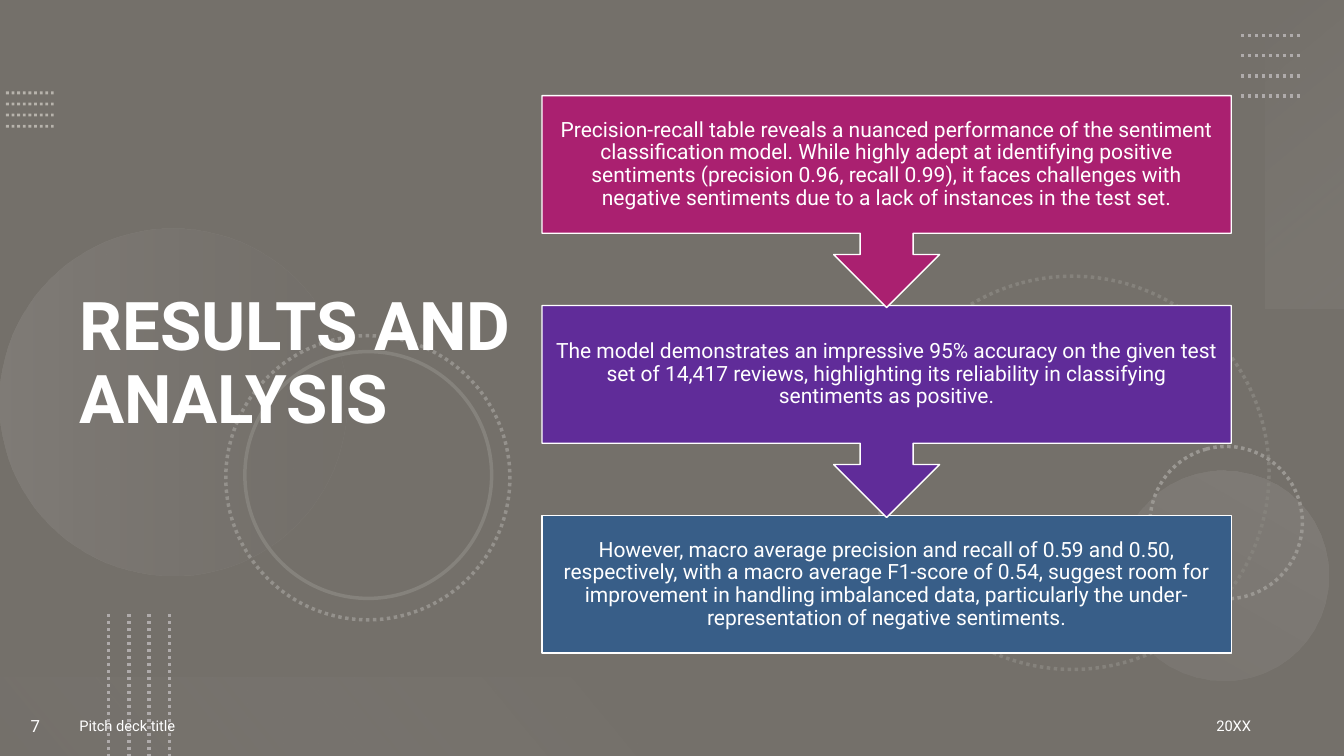
from lxml import etree
from pptx import Presentation
from pptx.dml.color import RGBColor
from pptx.enum import dml, shapes, text
from pptx.oxml.ns import qn
from pptx.util import Cm, Pt

KIND = shapes.MSO_SHAPE
ALIGN = text.PP_ALIGN


def tint(color, code, alpha=100):
    """Set a colour from a hex string, with opacity in percent."""
    color.rgb = RGBColor.from_string(code)
    if alpha < 100:
        node = color._xFill if hasattr(color, "_xFill") else color._color._xClr
        clr = node if node.tag == qn("a:srgbClr") else node.find(qn("a:srgbClr"))
        etree.SubElement(clr, qn("a:alpha")).set("val", str(alpha * 1000))


def write(box, words, size=15, bold=False, align=ALIGN.LEFT, gap=1.0):
    frame = box.text_frame
    frame.word_wrap = True
    frame.auto_size = text.MSO_AUTO_SIZE.NONE
    frame.vertical_anchor = text.MSO_ANCHOR.MIDDLE
    para = frame.paragraphs[0]
    para.alignment = align
    para.line_spacing = gap
    run = para.add_run()
    run.text = words
    run.font.name = "Roboto"
    run.font.size = Pt(size)
    run.font.bold = bold
    tint(run.font.color, "FFFFFF")


deck = Presentation()
deck.slide_width, deck.slide_height = Cm(33.87), Cm(19.05)
slide = deck.slides.add_slide(deck.slide_layouts[5])
tint_back = slide.background.fill
tint_back.solid()
tint(tint_back.fore_color, "F8F0E3")
items = slide.shapes

# Dark veil over the cream background
veil = items.add_shape(KIND.RECTANGLE, 0, 0, deck.slide_width, deck.slide_height)
veil.shadow.inherit = False
veil.fill.solid()
tint(veil.fill.fore_color, "000000", 53)
veil.line.fill.background()

# Soft gradient discs and bands: kind, left, top, width, height, turn, angle, stops
soft = [
    (KIND.OVAL, 0, 5.77, 8.74, 8.74, 270, 90, [("AFABAB", 20), ("767171", 10)]),
    (KIND.OVAL, 28.19, 11.86, 5.28, 5.28, 210, 90, [("AFABAB", 10), ("AFABAB", 20)]),
    (KIND.RECTANGLE, 29.01, 2.9, 7.77, 1.98, 270, 140, [("F5F5F5", 0), ("AFABAB", 10)]),
    (KIND.RECTANGLE, 0, 17.07, 16.94, 1.98, 180, 140, [("767171", 10), ("F1F0F0", 0)]),
]
for kind, left, top, wide, high, turn, angle, stops in soft:
    form = items.add_shape(kind, Cm(left), Cm(top), Cm(wide), Cm(high))
    form.rotation = turn
    form.shadow.inherit = False
    form.line.fill.background()
    form.fill.gradient()
    form.fill.gradient_angle = 360 - angle
    for stop, (code, alpha) in zip(form.fill.gradient_stops, stops):
        tint(stop.color, code, alpha)

# Rings: left, top, size, colour, dotted
rings = [
    (22.07, 6.96, 9.91, "85827C", True),
    (28.98, 11.25, 3.84, "9A9792", True),
    (5.69, 8.46, 7.16, "94918C", True),
    (6.17, 8.86, 6.22, "85827C", False),
]
for left, top, size, code, dotted in rings:
    ring = items.add_shape(KIND.OVAL, Cm(left), Cm(top), Cm(size), Cm(size))
    ring.rotation = 75
    ring.shadow.inherit = False
    ring.fill.background()
    tint(ring.line.color, code)
    ring.line.width = Pt(2.5)
    if dotted:
        ring.line.dash_style = dml.MSO_LINE.ROUND_DOT

# Dotted lines, four to a set: start, end, step, colour, opacity, weight
sets = [
    ((0.15, 2.34), (1.35, 2.34), (0, 0.28), "FBF6EE", 50, 2),
    ((31.27, 0.89), (32.79, 0.89), (0, 0.51), "AFABAB", 100, 2.5),
    ((2.74, 15.47), (2.74, 19.05), (0.51, 0), "AFABAB", 100, 2.5),
]
for (x1, y1), (x2, y2), (dx, dy), code, alpha, weight in sets:
    for i in range(4):
        dots = items.add_connector(
            shapes.MSO_CONNECTOR.STRAIGHT,
            Cm(x1 + i * dx), Cm(y1 + i * dy), Cm(x2 + i * dx), Cm(y2 + i * dy))
        tint(dots.line.color, code, alpha)
        dots.line.width = Pt(weight)
        dots.line.dash_style = dml.MSO_LINE.ROUND_DOT
        etree.SubElement(dots._element.spPr, qn("a:effectLst"))

# Title, moved in front of the decoration
title = items.title
title.left, title.top, title.width, title.height = Cm(1.75), Cm(1.37), Cm(11.66), Cm(15.67)
write(title, "RESULTS AND ANALYSIS", size=48, bold=True, gap=0.9)
items._spTree.append(title._element)

# Footer: left, width, words, size, alignment
foot = [
    (1.75, 23.11, "Pitch deck title", 10.5, ALIGN.LEFT),
    (0, 1.78, "7", 12, ALIGN.CENTER),
    (25.43, 6.35, "20XX", 10.5, ALIGN.RIGHT),
]
for left, wide, words, size, align in foot:
    box = items.add_textbox(Cm(left), Cm(17.53), Cm(wide), Cm(1.52))
    write(box, words, size=size, align=align)

# Findings, drawn from the last up so that each arrow tip lies on the next box
steps = [
    ("AA2070", "Precision-recall table reveals a nuanced performance of the sentiment "
     "classification model. While highly adept at identifying positive sentiments "
     "(precision 0.96, recall 0.99), it faces challenges with negative sentiments "
     "due to a lack of instances in the test set."),
    ("602C99", "The model demonstrates an impressive 95% accuracy on the given test set "
     "of 14,417 reviews, highlighting its reliability in classifying sentiments "
     "as positive."),
    ("385E88", "However, macro average precision and recall of 0.59 and 0.50, "
     "respectively, with a macro average F1-score of 0.54, suggest room for "
     "improvement in handling imbalanced data, particularly the under-representation "
     "of negative sentiments."),
]
for i, (code, words) in reversed(list(enumerate(steps))):
    last = i == len(steps) - 1
    kind = KIND.RECTANGLE if last else KIND.DOWN_ARROW_CALLOUT
    step = items.add_shape(kind, Cm(13.66), Cm(2.41 + i * 5.29),
                           Cm(17.37), Cm(3.47 if last else 5.34))
    step.shadow.inherit = False
    step.fill.solid()
    tint(step.fill.fore_color, code)
    tint(step.line.color, "FFFFFF")
    step.line.width = Pt(1)
    frame = step.text_frame
    frame.margin_left = frame.margin_right = Cm(0.3)
    frame.margin_top = frame.margin_bottom = Cm(0.3)
    write(step, words, align=ALIGN.CENTER, gap=0.9)

deck.save("out.pptx")
